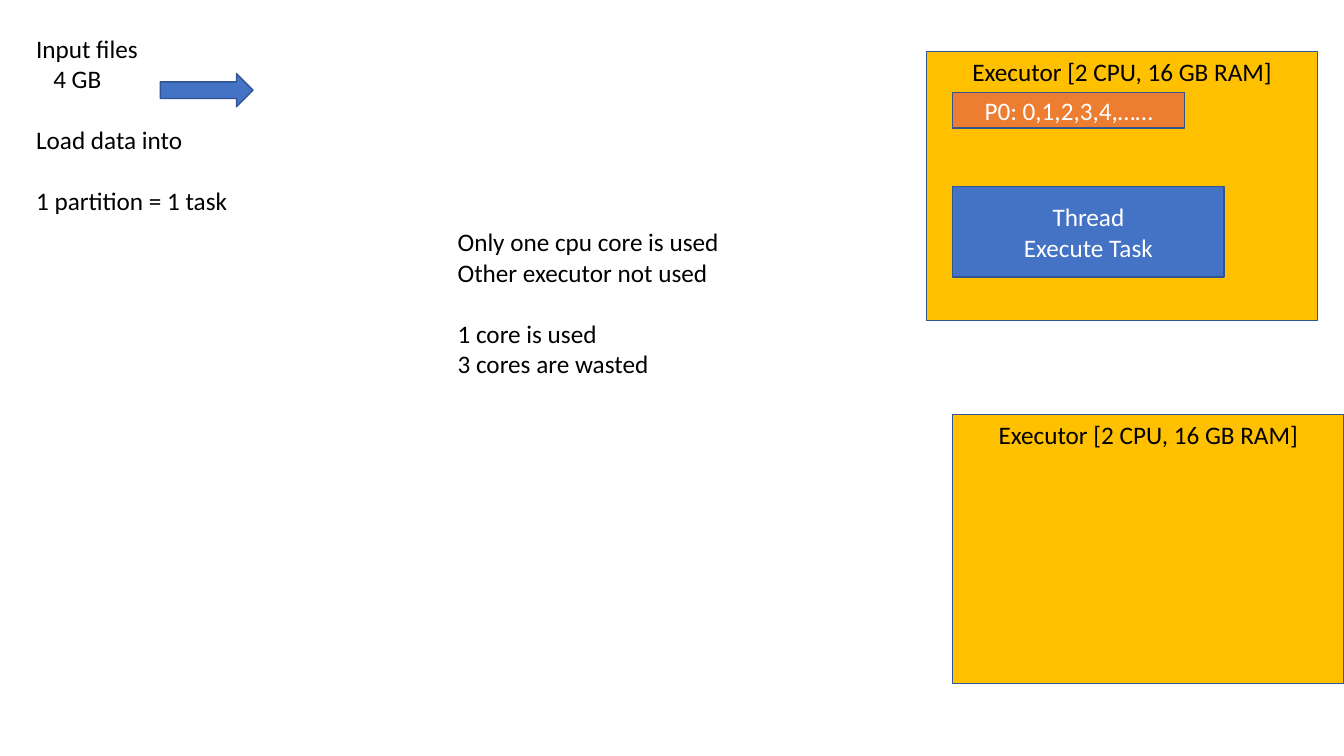
from pptx import Presentation
from pptx.dml.color import RGBColor
from pptx.enum.shapes import MSO_SHAPE
from pptx.enum.text import MSO_ANCHOR, MSO_AUTO_SIZE, PP_ALIGN
from pptx.util import Pt

RECTANGLE, RIGHT_ARROW = MSO_SHAPE.RECTANGLE, MSO_SHAPE.RIGHT_ARROW
TOP, MIDDLE = MSO_ANCHOR.TOP, MSO_ANCHOR.MIDDLE
LEFT, CENTER = PP_ALIGN.LEFT, PP_ALIGN.CENTER
FIT_SHAPE = MSO_AUTO_SIZE.SHAPE_TO_FIT_TEXT

PX = 9144  # 100 px to the inch
LINE_GAP = 22  # one line of 18 pt text, in points
BLACK, WHITE = "000000", "FFFFFF"
BLUE, ORANGE, GOLD, OUTLINE = "4472C4", "ED7D31", "FFC000", "325491"


def px(length):
    return length * PX


def color(hex_code):
    return RGBColor.from_string(hex_code)


def write(frame, lines, ink=BLACK, align=LEFT, anchor=TOP, gaps=(), indents=None):
    """Fill a frame; gaps lists lines set apart, indents maps line to px."""
    frame.vertical_anchor = anchor
    for index, line in enumerate(lines):
        para = frame.paragraphs[0] if index == 0 else frame.add_paragraph()
        para.alignment = align
        if index in gaps:
            para.space_before = Pt(LINE_GAP)
        if indents and index in indents:
            para._p.get_or_add_pPr().set("marL", str(px(indents[index])))
        span = para.add_run()
        span.text = line
        span.font.name = "Calibri"
        span.font.size = Pt(18)
        span.font.color.rgb = color(ink)


def add_block(page, box, fill, kind=RECTANGLE):
    block = page.shapes.add_shape(kind, *map(px, box))
    block.shadow.inherit = False
    block.fill.solid()
    block.fill.fore_color.rgb = color(fill)
    block.line.color.rgb = color(OUTLINE)
    block.line.width = Pt(1)
    return block


def add_note(page, box, lines, **text_format):
    frame = page.shapes.add_textbox(*map(px, box)).text_frame
    frame.word_wrap = False
    frame.auto_size = FIT_SHAPE
    write(frame, lines, **text_format)


def add_executor(page, box, partition=None, thread=None):
    left, top = box[:2]
    executor = add_block(page, box, GOLD)
    write(executor.text_frame, ["Executor [2 CPU, 16 GB RAM]"], align=CENTER)
    parts = [(partition, (left + 26, top + 41, 230, 35), ORANGE),
             (thread, (left + 26, top + 134, 269, 90), BLUE)]
    for lines, place, fill in parts:
        if lines:
            part = add_block(page, place, fill)
            write(part.text_frame, lines, ink=WHITE, align=CENTER, anchor=MIDDLE)


def add_input(page, box):
    left, top = box[:2]
    add_note(page, box,
             ["Input files", "4 GB", "Load data into", "1 partition = 1 task"],
             gaps=(2, 3), indents={1: 17})
    add_block(page, (left + 133, top + 45, 92, 33), BLUE, kind=RIGHT_ARROW)


def main():
    deck = Presentation()
    deck.slide_width, deck.slide_height = px(1333), px(750)
    page = deck.slides.add_slide(deck.slide_layouts[6])

    # Executors: one busy, one idle
    add_executor(page, (919, 51, 388, 267),
                 partition=["P0: 0,1,2,3,4,……"],
                 thread=["Thread", "Execute Task"])
    add_executor(page, (945, 411, 388, 267))

    # Input data
    add_input(page, (26, 28, 212, 192))

    # Core usage
    add_note(page, (444, 220, 288, 162),
             ["Only one cpu core is used", "Other executor not used",
              "1 core is used", "3 cores are wasted"],
             gaps=(2,))

    deck.save("out.pptx")


if __name__ == "__main__":
    main()
